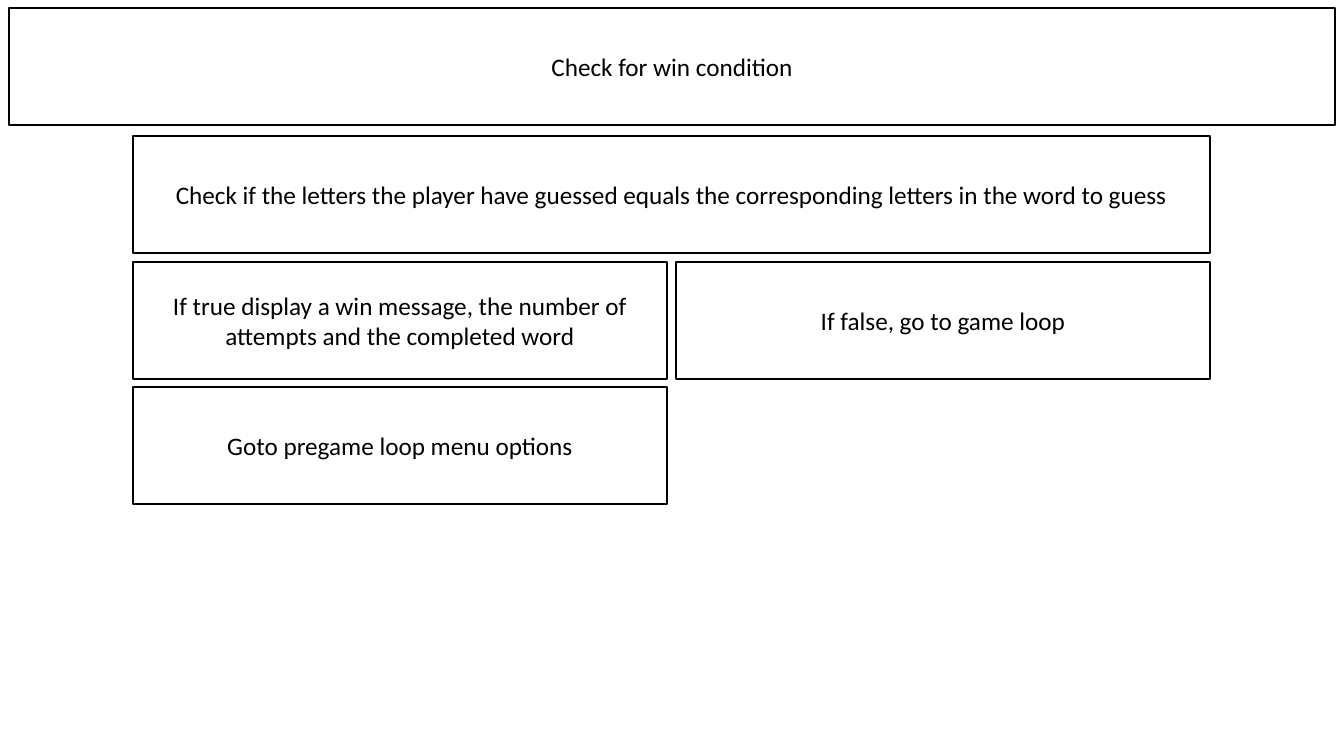
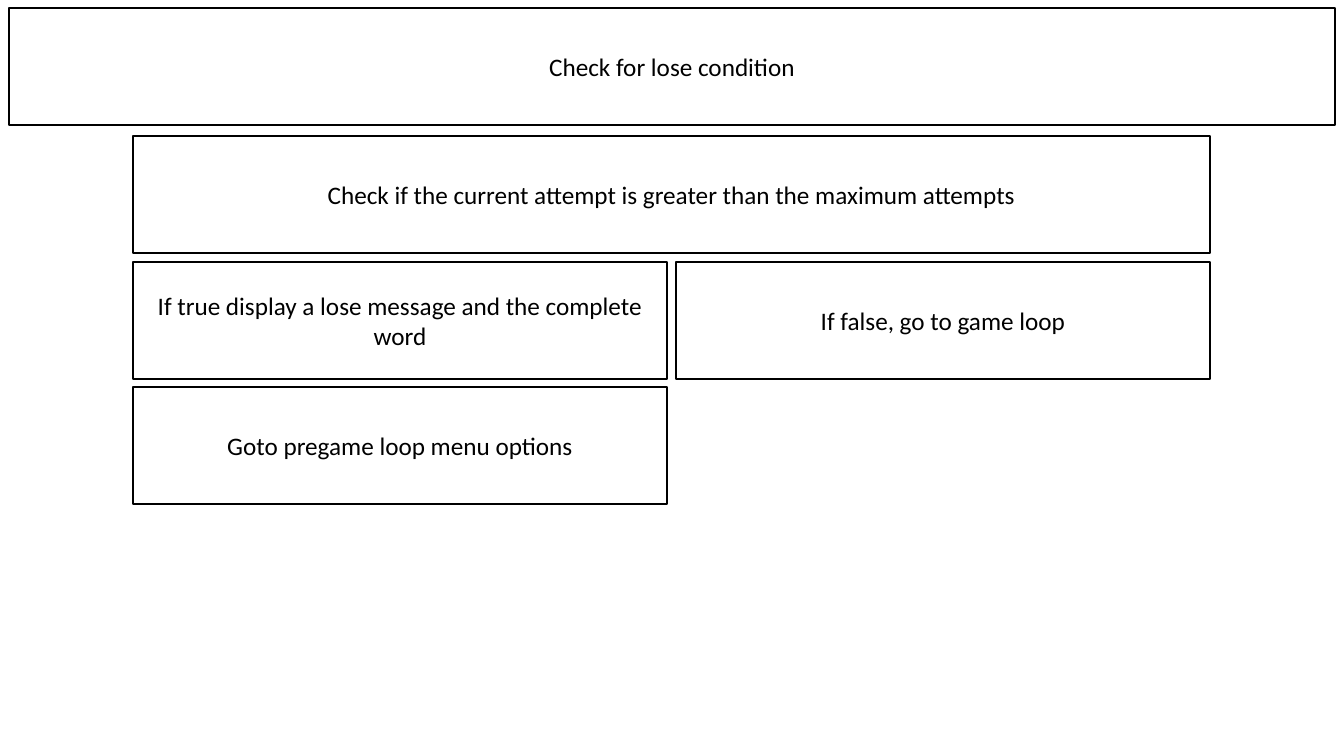
import dataclasses

import pptx
import pptx.dml.color
import pptx.enum.shapes
import pptx.enum.text
import pptx.util

EMU_PER_PIXEL = 914400 / 100.8


def pixels(count):
    return pptx.util.Emu(round(count * EMU_PER_PIXEL))


# Shared style
@dataclasses.dataclass(frozen=True)
class Theme:
    font: str = "Calibri"
    text_size: int = 18
    line_width: int = 1
    ink: str = "000000"
    paper: str = "FFFFFF"


# Shared grid, in pixels
SLIDE_WIDTH, SLIDE_HEIGHT = 1344, 756
TITLE_LEFT, TITLE_WIDTH = 9, 1326
STEP_LEFT, STEP_WIDTH, BRANCH_GAP = 133, 1077, 9
BRANCH_WIDTH = (STEP_WIDTH - BRANCH_GAP) // 2
FALSE_LEFT = STEP_LEFT + BRANCH_WIDTH + BRANCH_GAP
BOX_HEIGHT = 117
TITLE_TOP, CHECK_TOP, BRANCH_TOP, NEXT_TOP = 8, 136, 262, 387


class FlowDeck:
    def __init__(self, theme):
        self.theme = theme
        self.presentation = pptx.Presentation()
        self.presentation.slide_width = pixels(SLIDE_WIDTH)
        self.presentation.slide_height = pixels(SLIDE_HEIGHT)
        self.slide = None

    def add_slide(self, title):
        layout = self.presentation.slide_layouts.get_by_name("Title Only")
        self.slide = self.presentation.slides.add_slide(layout)
        shape = self.slide.shapes.title
        shape.left, shape.top = pixels(TITLE_LEFT), pixels(TITLE_TOP)
        shape.width, shape.height = pixels(TITLE_WIDTH), pixels(BOX_HEIGHT)
        self.format_box(shape, title)

    def add_box(self, text, left, top, width):
        shape = self.slide.shapes.add_shape(
            pptx.enum.shapes.MSO_SHAPE.RECTANGLE,
            pixels(left), pixels(top), pixels(width), pixels(BOX_HEIGHT))
        shape.shadow.inherit = False
        self.format_box(shape, text)

    def format_box(self, shape, text):
        color = pptx.dml.color.RGBColor.from_string
        shape.fill.solid()
        shape.fill.fore_color.rgb = color(self.theme.paper)
        shape.line.color.rgb = color(self.theme.ink)
        shape.line.width = pptx.util.Pt(self.theme.line_width)

        frame = shape.text_frame
        frame.text = text
        frame.word_wrap = True
        frame.auto_size = pptx.enum.text.MSO_AUTO_SIZE.NONE
        frame.vertical_anchor = pptx.enum.text.MSO_ANCHOR.MIDDLE
        paragraph = frame.paragraphs[0]
        paragraph.alignment = pptx.enum.text.PP_ALIGN.CENTER
        font = paragraph.runs[0].font
        font.name = self.theme.font
        font.size = pptx.util.Pt(self.theme.text_size)
        font.color.rgb = color(self.theme.ink)

    def add_condition(self, title, check, if_true):
        self.add_slide(title)
        self.add_box(check, STEP_LEFT, CHECK_TOP, STEP_WIDTH)
        self.add_box(if_true, STEP_LEFT, BRANCH_TOP, BRANCH_WIDTH)
        self.add_box("If false, go to game loop", FALSE_LEFT, BRANCH_TOP, BRANCH_WIDTH)
        self.add_box("Goto pregame loop menu options", STEP_LEFT, NEXT_TOP, BRANCH_WIDTH)


deck = FlowDeck(Theme())

# Slide 1: win condition
deck.add_condition(
    "Check for win condition",
    "Check if the letters the player have guessed equals the corresponding "
    "letters in the word to guess",
    "If true display a win message, the number of attempts and the completed word")

# Slide 2: lose condition
deck.add_condition(
    "Check for lose condition",
    "Check if the current attempt is greater than the maximum attempts",
    "If true display a lose message and the complete word")

deck.presentation.save("out.pptx")
